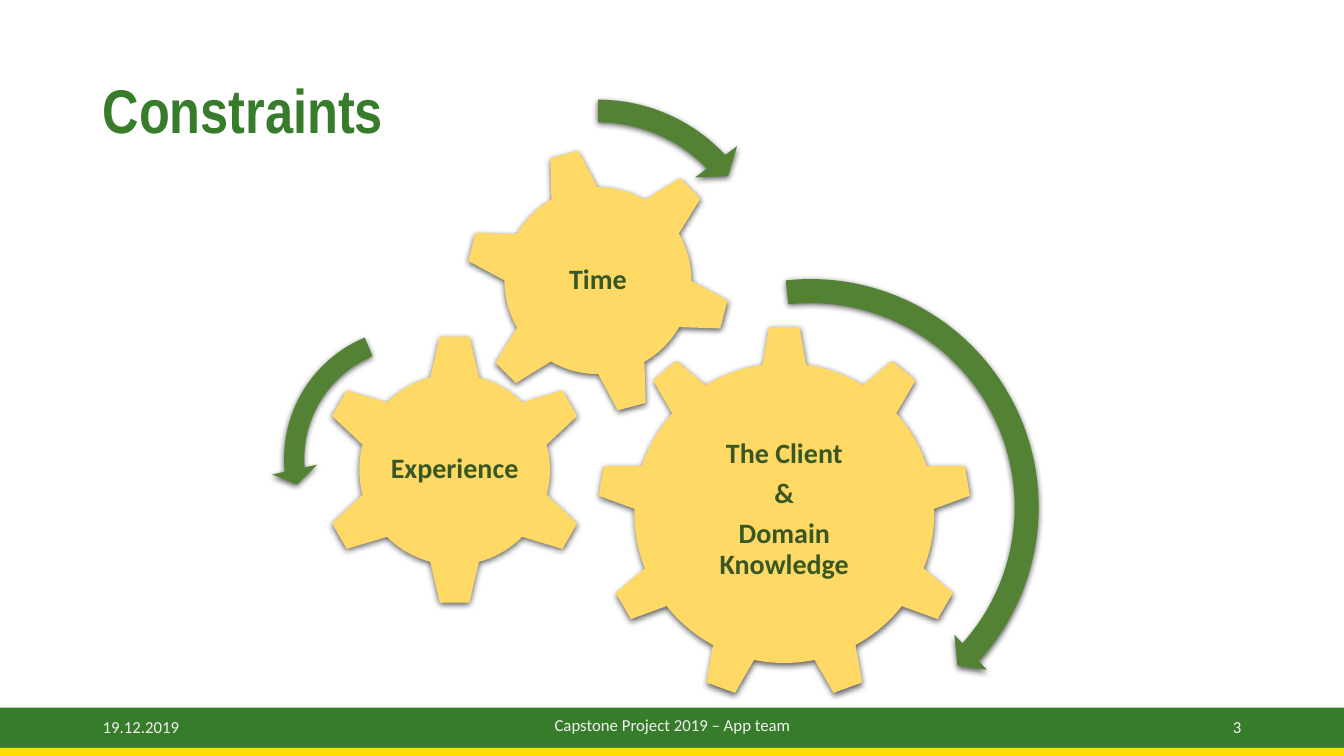
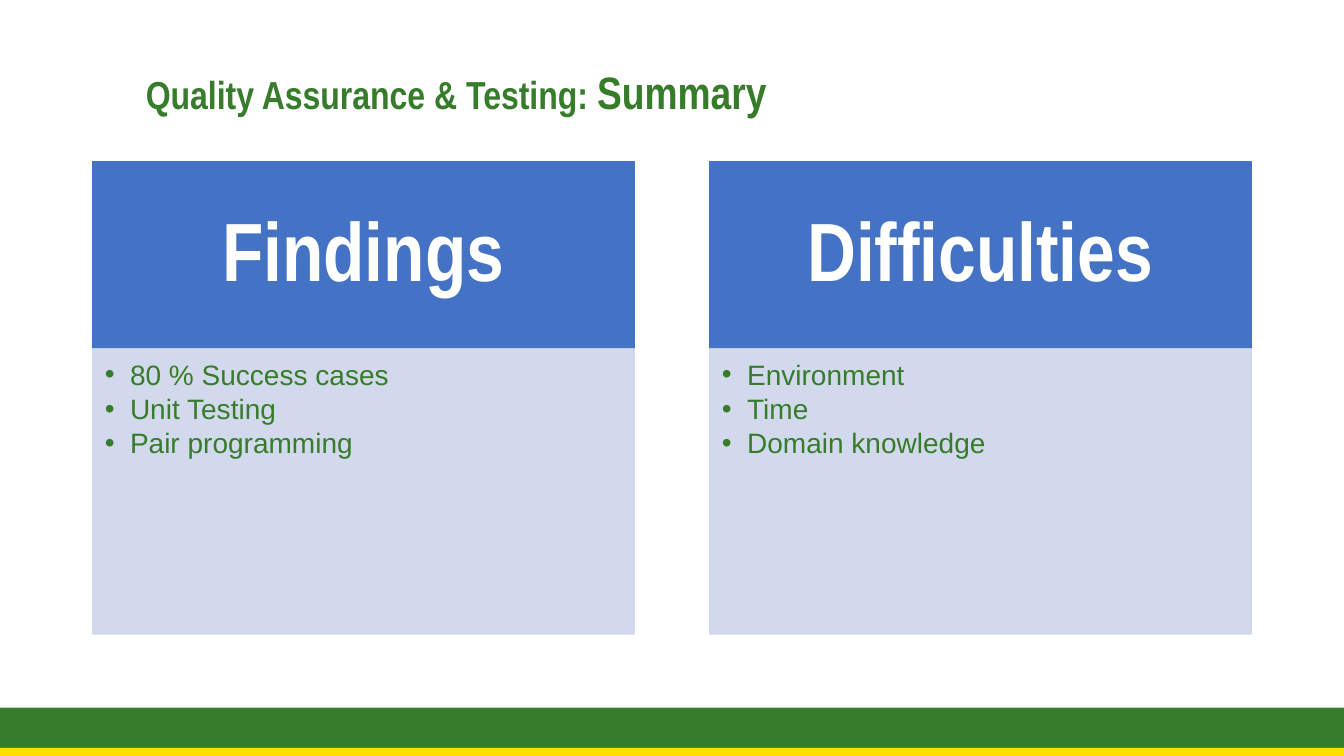
from lxml.etree import SubElement
from pptx import Presentation
from pptx.dml.color import RGBColor
from pptx.enum.shapes import MSO_SHAPE
from pptx.enum.text import MSO_ANCHOR, PP_ALIGN
from pptx.oxml import parse_xml
from pptx.oxml.ns import nsdecls, qn
from pptx.util import Inches, Pt

WIDTH, HEIGHT = Inches(13.33), Inches(7.5)
MARGIN, GUTTER = 6.9, 5.63
COLUMN = (100 - 2 * MARGIN - GUTTER) / 2
COLORS = {
    "green": "367C2B", "yellow": "FFDE00", "footer": "F2F2F2", "gear": "FFD966",
    "gear_text": "385723", "arrow": "548235", "header": "4472C4",
    "panel": "CFD5EA", "white": "FFFFFF",
}
TITLE_FONT, BODY_FONT, LABEL_FONT = "Arial Narrow", "Arial", "Calibri"
DEFAULT_INSETS = (0.1, 0.05, 0.1, 0.05)


def color(name):
    """Return the named colour of the palette."""
    return RGBColor.from_string(COLORS[name])


def area(left, top, width, height):
    """Turn percentages of the slide's size into a left, top, width, height box."""
    return (round(left * WIDTH / 100), round(top * HEIGHT / 100),
            round(width * WIDTH / 100), round(height * HEIGHT / 100))


def square(center_x, center_y, side):
    """Return a square around a centre, its side a percentage of the slide's width."""
    length = round(side * WIDTH / 100)
    return (round(center_x * WIDTH / 100 - length / 2),
            round(center_y * HEIGHT / 100 - length / 2), length, length)


def add_block(slide, kind, box, fill, line=None, alpha=None):
    """Add a flat preset shape, optionally outlined and partly transparent."""
    shape = slide.shapes.add_shape(kind, *box)
    shape.shadow.inherit = False
    shape.fill.solid()
    shape.fill.fore_color.rgb = color(fill)
    if line:
        shape.line.color.rgb = color(line)
        shape.line.width = Pt(1)
    else:
        shape.line.fill.background()
    if alpha:
        for tint in shape.element.spPr.iter(qn("a:srgbClr")):
            SubElement(tint, qn("a:alpha"), val=str(alpha * 1000))
    return shape


def add_shadow(shape):
    """Give a shape a soft shadow that falls straight down."""
    effects = shape.element.spPr.find(qn("a:effectLst"))
    effects.append(parse_xml(
        f'<a:outerShdw {nsdecls("a")} blurRad="57150" dist="19050" dir="5400000" '
        'algn="ctr" rotWithShape="0"><a:srgbClr val="000000"><a:alpha val="63000"/>'
        '</a:srgbClr></a:outerShdw>'))


def set_bullet(paragraph, indent):
    """Put a hanging round bullet before a paragraph."""
    properties = paragraph._p.get_or_add_pPr()
    properties.set("marL", str(indent))
    properties.set("indent", str(-indent))
    SubElement(properties, qn("a:buFont"), typeface="Arial")
    SubElement(properties, qn("a:buChar"), char="•")


def write(shape, paragraphs, font, fill, bold=False, align=PP_ALIGN.LEFT,
          anchor=MSO_ANCHOR.MIDDLE, insets=DEFAULT_INSETS, spacing=0.9, after=0,
          bullets=False):
    """Write paragraphs, each a list of (text, size) runs, into a shape."""
    frame = shape.text_frame
    frame.word_wrap = True
    frame.vertical_anchor = anchor
    (frame.margin_left, frame.margin_top,
     frame.margin_right, frame.margin_bottom) = map(Inches, insets)
    for index, runs in enumerate(paragraphs):
        paragraph = frame.add_paragraph() if index else frame.paragraphs[0]
        if bullets:
            set_bullet(paragraph, Inches(0.25))
        paragraph.alignment = align
        paragraph.line_spacing = spacing
        paragraph.space_after = Pt(after)
        for text, size in runs:
            run = paragraph.add_run()
            run.text = text
            run.font.name = font
            run.font.size = Pt(size)
            run.font.bold = bold
            run.font.color.rgb = color(fill)


def add_title(slide, box, runs, align=PP_ALIGN.LEFT):
    """Add the bold green slide title."""
    write(slide.shapes.add_textbox(*box), [runs], TITLE_FONT, "green", True, align)


def add_bands(slide):
    """Add the green and yellow bands at the foot of a slide."""
    add_block(slide, MSO_SHAPE.RECTANGLE, area(0, 93.6, 100, 5.33), "green")
    add_block(slide, MSO_SHAPE.RECTANGLE, area(0, 98.93, 100, 1.07), "yellow")


def add_footer(slide, date, name, number):
    """Add the date, the project name and the slide number on the green band."""
    side = 22.5
    for text, left, top, width, align in (
            (date, MARGIN, 93.47, side, PP_ALIGN.LEFT),
            (name, 33.16, 93.2, 33.76, PP_ALIGN.CENTER),
            (number, 100 - MARGIN - side, 93.47, side, PP_ALIGN.RIGHT)):
        textbox = slide.shapes.add_textbox(*area(left, top, width, 5.33))
        write(textbox, [[(text, 12)]], LABEL_FONT, "footer", align=align, spacing=1)


def add_gear(slide, kind, box, lines, tilt=0):
    """Add a gear with an upright label, the gear itself turned by tilt degrees."""
    gear = add_block(slide, kind, box, "gear")
    add_shadow(gear)
    write(gear, [[(line, 20)] for line in lines], LABEL_FONT, "gear_text", True,
          PP_ALIGN.CENTER, insets=(0.03,) * 4, after=7)
    if tilt:
        gear.rotation = tilt
        gear.text_frame._txBody.bodyPr.set("rot", str(-tilt * 60000))


def add_turn(slide, kind, box, adjustments, rotation=0):
    """Add a curved arrow that shows which way a gear turns."""
    arrow = add_block(slide, kind, box, "arrow")
    add_shadow(arrow)
    arrow.rotation = rotation
    for index, value in enumerate(adjustments):
        arrow.adjustments[index] = value


def add_panel(slide, column, heading, items):
    """Add a headed column with a bulleted list."""
    left = MARGIN + column * (COLUMN + GUTTER)
    top, header_height, body_height = 21.33, 24.8, 37.73
    header = add_block(slide, MSO_SHAPE.RECTANGLE,
                       area(left, top, COLUMN, header_height), "header", "header")
    write(header, [[(heading, 59)]], TITLE_FONT, "white", True, PP_ALIGN.CENTER,
          insets=(0.46, 0.26, 0.46, 0.26))
    body = add_block(slide, MSO_SHAPE.RECTANGLE,
                     area(left, top + header_height, COLUMN, body_height),
                     "panel", "panel", 90)
    write(body, [[(item, 20)] for item in items], BODY_FONT, "green",
          anchor=MSO_ANCHOR.TOP, insets=(0.12, 0.12, 0.16, 0.17), after=3, bullets=True)


def build_constraints(slide):
    """Build the slide of three interlocking constraints."""
    add_title(slide, area(MARGIN, 5.33, 100 - 2 * MARGIN, 19.33), [("Constraints", 44)])
    add_bands(slide)
    add_footer(slide, "19.12.2019", "Capstone Project 2019 – App team", "3")
    add_gear(slide, MSO_SHAPE.GEAR_9, square(58.36, 67.87, 27.9),
             ["The Client", "&", "Domain Knowledge"])
    add_gear(slide, MSO_SHAPE.GEAR_6, square(33.83, 62.13, 20.26), ["Experience"])
    add_gear(slide, MSO_SHAPE.GEAR_6, square(44.49, 37.13, 19.88), ["Time"], -15)
    add_turn(slide, MSO_SHAPE.CIRCULAR_ARROW, square(60.32, 67.07, 35.71),
             (0.05, 2.99, 25.34, 158.23, 0.05))
    add_turn(slide, MSO_SHAPE.LEFT_CIRCULAR_ARROW, square(30.91, 60.67, 21.46),
             (0.07, 4.3, 104.89, 148.38, 0.08))
    add_turn(slide, MSO_SHAPE.CIRCULAR_ARROW, square(44.52, 36.07, 27.98),
             (0.06, 3.94, 133.14, 105.08, 0.07), 94.8)


def build_summary(slide):
    """Build the slide that sets findings beside difficulties."""
    add_title(slide, area(MARGIN, 6.53, 54.09, 12.13),
              [("Quality Assurance & Testing: ", 27.9), ("Summary", 32.4)],
              PP_ALIGN.CENTER)
    add_bands(slide)
    panels = (("Findings", ["80 % Success cases", "Unit Testing", "Pair programming"]),
              ("Difficulties", ["Environment", "Time", "Domain knowledge"]))
    for column, (heading, items) in enumerate(panels):
        add_panel(slide, column, heading, items)


def main():
    """Build and save the presentation."""
    presentation = Presentation()
    presentation.slide_width, presentation.slide_height = WIDTH, HEIGHT
    blank = presentation.slide_layouts[6]
    for build in (build_constraints, build_summary):
        build(presentation.slides.add_slide(blank))
    presentation.save("out.pptx")


if __name__ == "__main__":
    main()
